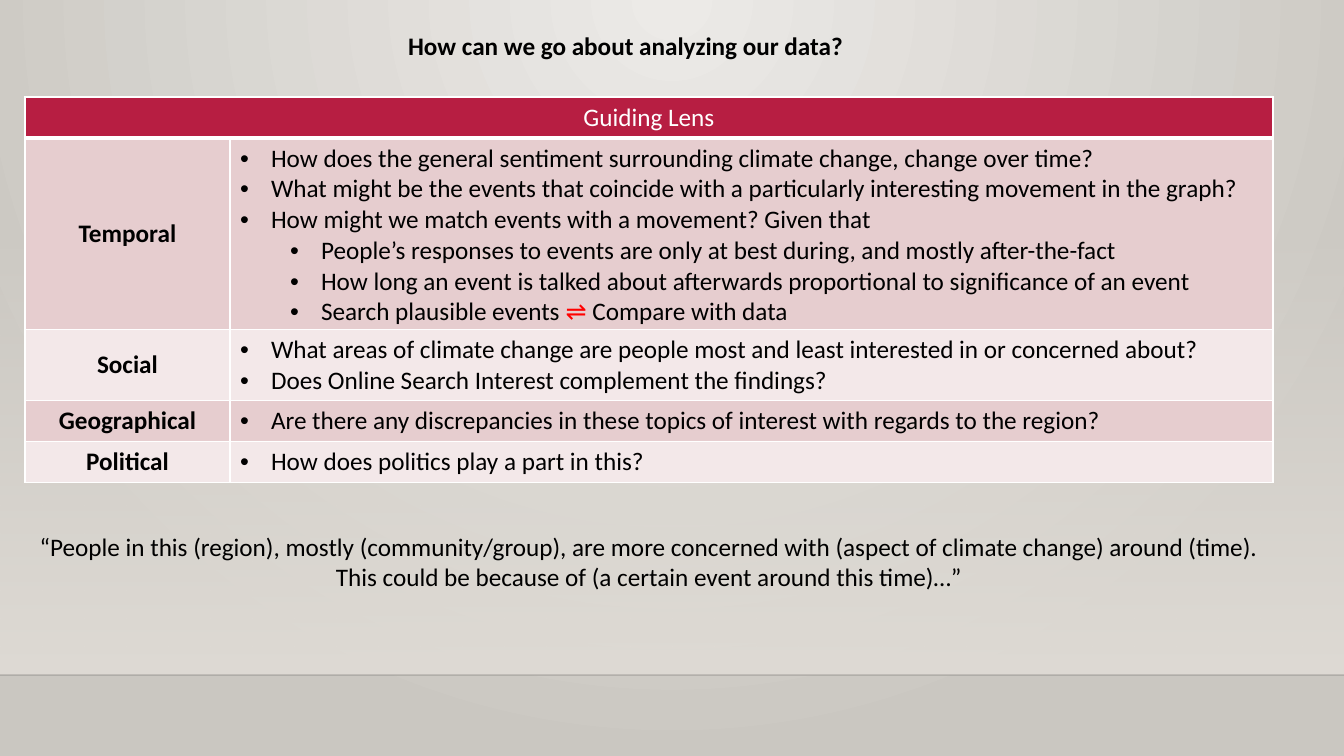
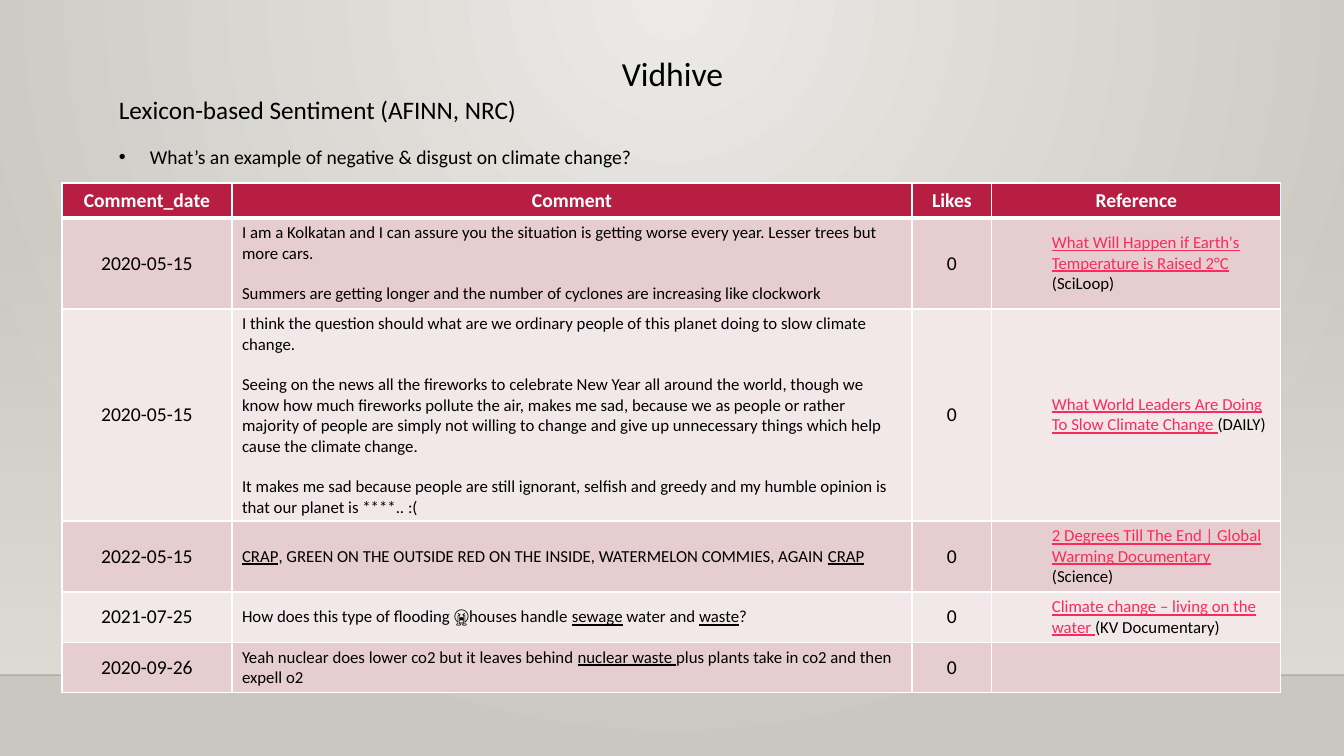
"""Build two slides on analysing climate change comments."""
from collections import namedtuple
from dataclasses import dataclass

from lxml.etree import SubElement
from pptx import Presentation
from pptx.dml.color import RGBColor
from pptx.enum.shapes import MSO_CONNECTOR, MSO_SHAPE
from pptx.enum.text import MSO_ANCHOR, MSO_AUTO_SIZE as AutoSize, PP_ALIGN as Align
from pptx.oxml.ns import qn
from pptx.util import Emu, Pt


@dataclass(frozen=True)
class Theme:
    font: str = "Calibri"
    ink: str = "000000"
    white: str = "FFFFFF"
    header: str = "B71E42"
    rows: tuple = ("E6CDCF", "F3E8E9")
    link: str = "FA2B5C"
    accent: str = "FF0000"
    glow: str = "ECEAE7"
    edge: str = "CAC7C1"
    band: str = "DFDBD5"
    floor: str = "000001"
    title: int = 24
    body: int = 18
    label: int = 14
    small: int = 12


THEME = Theme()
EMU_PER_PX = 914400 / 100.8
WIDTH, HEIGHT = 1344, 756
FLOOR_TOP = 675

Line = namedtuple("Line", "runs kind", defaults=("plain",))
Text = namedtuple("Text", "box lines size align bold", defaults=(Align.LEFT, False))
Column = namedtuple("Column", "width size align bold", defaults=(Align.LEFT, False))
Grid = namedtuple("Grid", "left top columns heights header_size header_bold rows")
Page = namedtuple("Page", "title texts grid")

INDENTS = {"bullet": (31, -31), "sub-bullet": (81, -31), "reference": (50, 0)}
RUN_STYLES = {
    "plain": (None, False),
    "accent": (THEME.accent, False),
    "underline": (None, True),
    "link": (THEME.link, True),
}


def px(length):
    """Turn pixels into EMU."""
    return Emu(round(length * EMU_PER_PX))


def write(frame, lines, size, color=THEME.ink, align=Align.LEFT, bold=False):
    """Fill a text frame with formatted lines."""
    for index, line in enumerate(lines):
        paragraph = frame.add_paragraph() if index else frame.paragraphs[0]
        paragraph.alignment = align
        if line.kind in INDENTS:
            properties = paragraph._p.get_or_add_pPr()
            margin, indent = INDENTS[line.kind]
            properties.set("marL", str(px(margin)))
            properties.set("indent", str(px(indent)))
            paragraph.level = 0 if line.kind == "bullet" else 1
            if indent:
                SubElement(properties, qn("a:buFont"), typeface="Arial")
                SubElement(properties, qn("a:buChar"), char="•")
        if line.kind == "spaced":
            paragraph.space_before = px(20)
        runs = [(line.runs, "plain")] if isinstance(line.runs, str) else line.runs
        for text, style in runs:
            run_color, underline = RUN_STYLES[style]
            run = paragraph.add_run()
            run.text = text
            run.font.name = THEME.font
            run.font.size = Pt(size)
            run.font.bold = bold
            run.font.underline = underline
            run.font.color.rgb = RGBColor.from_string(run_color or color)


lens_grid = Grid(
    25, 97,
    [Column(205, THEME.body, Align.CENTER, True), Column(1043, THEME.body)],
    [41, 191, 71, 41, 41], THEME.body, False,
    [
        [[Line("Guiding Lens")]],
        [[Line("Temporal")], [
            Line("How does the general sentiment surrounding climate change, change over time?", "bullet"),
            Line("What might be the events that coincide with a particularly interesting movement in the graph?", "bullet"),
            Line("How might we match events with a movement? Given that", "bullet"),
            Line("People’s responses to events are only at best during, and mostly after-the-fact", "sub-bullet"),
            Line("How long an event is talked about afterwards proportional to significance of an event", "sub-bullet"),
            Line([("Search plausible events ", "plain"), ("⇌", "accent"),
                  (" Compare with data", "plain")], "sub-bullet"),
        ]],
        [[Line("Social")], [
            Line("What areas of climate change are people most and least interested in or concerned about?", "bullet"),
            Line("Does Online Search Interest complement the findings?", "bullet"),
        ]],
        [[Line("Geographical")], [
            Line("Are there any discrepancies in these topics of interest with regards to the region?", "bullet"),
        ]],
        [[Line("Political")], [Line("How does politics play a part in this?", "bullet")]],
    ],
)

comment_grid = Grid(
    62, 183,
    [Column(170, THEME.label, Align.CENTER), Column(680, THEME.small),
     Column(80, THEME.label, Align.CENTER), Column(289, THEME.small)],
    [35, 91, 212, 71, 50, 50], THEME.label, True,
    [
        [[Line("Comment_date")], [Line("Comment")], [Line("Likes")], [Line("Reference")]],
        [[Line("2020-05-15")], [
            Line("I am a Kolkatan and I can assure you the situation is getting worse every year. "
                 "Lesser trees but more cars."),
            Line("Summers are getting longer and the number of cyclones are increasing like clockwork", "spaced"),
        ], [Line("0")], [
            Line([("What Will Happen if Earth's Temperature is Raised 2°C ", "link"),
                  ("(SciLoop)", "plain")], "reference"),
        ]],
        [[Line("2020-05-15")], [
            Line("I think the question should what are we ordinary people of this planet doing "
                 "to slow climate change."),
            Line("Seeing on the news all the fireworks to celebrate New Year all around the world, "
                 "though we know how much fireworks pollute the air, makes me sad, because we as people "
                 "or rather majority of people are simply not willing to change and give up unnecessary "
                 "things which help cause the climate change.", "spaced"),
            Line("It makes me sad because people are still ignorant, selfish and greedy and my humble "
                 "opinion is that our planet is ****.. :(", "spaced"),
        ], [Line("0")], [
            Line([("What World Leaders Are Doing To Slow Climate Change ", "link"),
                  ("(DAILY)", "plain")], "reference"),
        ]],
        [[Line("2022-05-15")], [
            Line([("CRAP", "underline"),
                  (", GREEN ON THE OUTSIDE RED ON THE INSIDE, WATERMELON COMMIES, AGAIN ", "plain"),
                  ("CRAP", "underline")]),
        ], [Line("0")], [
            Line([("2 Degrees Till The End | Global Warming Documentary ", "link"),
                  ("(Science)", "plain")], "reference"),
        ]],
        [[Line("2021-07-25")], [
            Line([("How does this type of flooding 😭houses handle ", "plain"), ("sewage", "underline"),
                  (" water and ", "plain"), ("waste", "underline"), ("?", "plain")]),
        ], [Line("0")], [
            Line([("Climate change – living on the water ", "link"),
                  ("(KV Documentary)", "plain")], "reference"),
        ]],
        [[Line("2020-09-26")], [
            Line([("Yeah nuclear does lower co2 but it leaves behind ", "plain"),
                  ("nuclear waste ", "underline"),
                  ("plus plants take in co2 and then expell o2", "plain")]),
        ], [Line("0")], []],
    ],
)

pages = [
    Page(
        Text((398, 25, 547, 40), [Line("How can we go about analyzing our data?")], THEME.body, bold=True),
        [Text((25, 526, 1248, 72), [
            Line("“People in this (region), mostly (community/group), are more concerned with "
                 "(aspect of climate change) around (time). This could be because of "
                 "(a certain event around this time)…”"),
        ], THEME.body, Align.CENTER)],
        lens_grid,
    ),
    Page(
        Text((109, 48, 1127, 50), [Line("Vidhive")], THEME.title, Align.CENTER),
        [Text((109, 89, 672, 40), [Line("Lexicon-based Sentiment (AFINN, NRC)")], THEME.body),
         Text((109, 140, 880, 34), [
             Line("What’s an example of negative & disgust on climate change?", "bullet"),
         ], THEME.label)],
        comment_grid,
    ),
]

presentation = Presentation()
presentation.slide_width, presentation.slide_height = px(WIDTH), px(HEIGHT)
layout = presentation.slide_layouts[5]
slides = [presentation.slides.add_slide(layout) for _ in pages]

background = layout.background.fill
background.gradient()
for stop, color in zip(background.gradient_stops, (THEME.glow, THEME.edge)):
    stop.color.rgb = RGBColor.from_string(color)
linear = layout.element.xpath(".//a:lin")[0]
gradient = linear.getparent()
gradient.remove(linear)
circle = SubElement(gradient, qn("a:path"), path="circle")
SubElement(circle, qn("a:fillToRect"), l="43000", t="0", r="43000", b="100000")

band = slides[0].shapes.add_shape(MSO_SHAPE.RECTANGLE, 0, px(223), px(WIDTH), px(FLOOR_TOP - 223))
band.shadow.inherit = False
band.line.fill.background()
band.fill.gradient()
band.fill.gradient_angle = 270
for stop in band.fill.gradient_stops:
    stop.color.rgb = RGBColor.from_string(THEME.band)
SubElement(band.element.xpath(".//a:gs/a:srgbClr")[0], qn("a:alpha"), val="0")

floor_line = slides[0].shapes.add_connector(
    MSO_CONNECTOR.STRAIGHT, 0, px(FLOOR_TOP), px(WIDTH), px(FLOOR_TOP))
floor_line.line.width = Pt(1)
floor_line.line.color.rgb = RGBColor.from_string(THEME.floor)
SubElement(floor_line.element.xpath(".//a:ln//a:srgbClr")[0], qn("a:alpha"), val="20000")
SubElement(floor_line.element.spPr, qn("a:effectLst"))

for position, shape in enumerate((band, floor_line), start=2):
    layout.shapes.element.insert(position, shape.element)

for slide, page in zip(slides, pages):
    title = slide.shapes.title
    boxes = [title] + [slide.shapes.add_textbox(0, 0, 0, 0) for _ in page.texts]
    for box, text in zip(boxes, [page.title, *page.texts]):
        box.left, box.top, box.width, box.height = map(px, text.box)
        frame = box.text_frame
        frame.word_wrap = True
        frame.auto_size = AutoSize.SHAPE_TO_FIT_TEXT
        frame.vertical_anchor = MSO_ANCHOR.TOP
        write(frame, text.lines, text.size, align=text.align, bold=text.bold)

    grid = page.grid
    total_width = sum(column.width for column in grid.columns)
    table = slide.shapes.add_table(
        len(grid.rows), len(grid.columns), px(grid.left), px(grid.top),
        px(total_width), px(sum(grid.heights))).table
    table.first_row = table.horz_banding = False
    for table_column, column in zip(table.columns, grid.columns):
        table_column.width = px(column.width)
    for table_row, height in zip(table.rows, grid.heights):
        table_row.height = px(height)
    if len(grid.rows[0]) == 1:
        table.cell(0, 0).merge(table.cell(0, len(grid.columns) - 1))

    for row_index, row in enumerate(grid.rows):
        is_header = row_index == 0
        fill_color = THEME.header if is_header else THEME.rows[(row_index - 1) % 2]
        border_widths = {"lnL": 1, "lnR": 1, "lnT": 3 if row_index == 1 else 1, "lnB": 3 if is_header else 1}
        for cell in table.rows[row_index].cells:
            properties = cell._tc.get_or_add_tcPr()
            for side, width in border_widths.items():
                border = SubElement(properties, qn(f"a:{side}"), w=str(Pt(width)))
                SubElement(SubElement(border, qn("a:solidFill")), qn("a:srgbClr"), val=THEME.white)
            cell.fill.solid()
            cell.fill.fore_color.rgb = RGBColor.from_string(fill_color)
            cell.vertical_anchor = MSO_ANCHOR.MIDDLE
        for column_index, (lines, column) in enumerate(zip(row, grid.columns)):
            frame = table.cell(row_index, column_index).text_frame
            if is_header:
                write(frame, lines, grid.header_size, THEME.white, Align.CENTER, grid.header_bold)
            else:
                write(frame, lines, column.size, align=column.align, bold=column.bold)

presentation.save("out.pptx")
